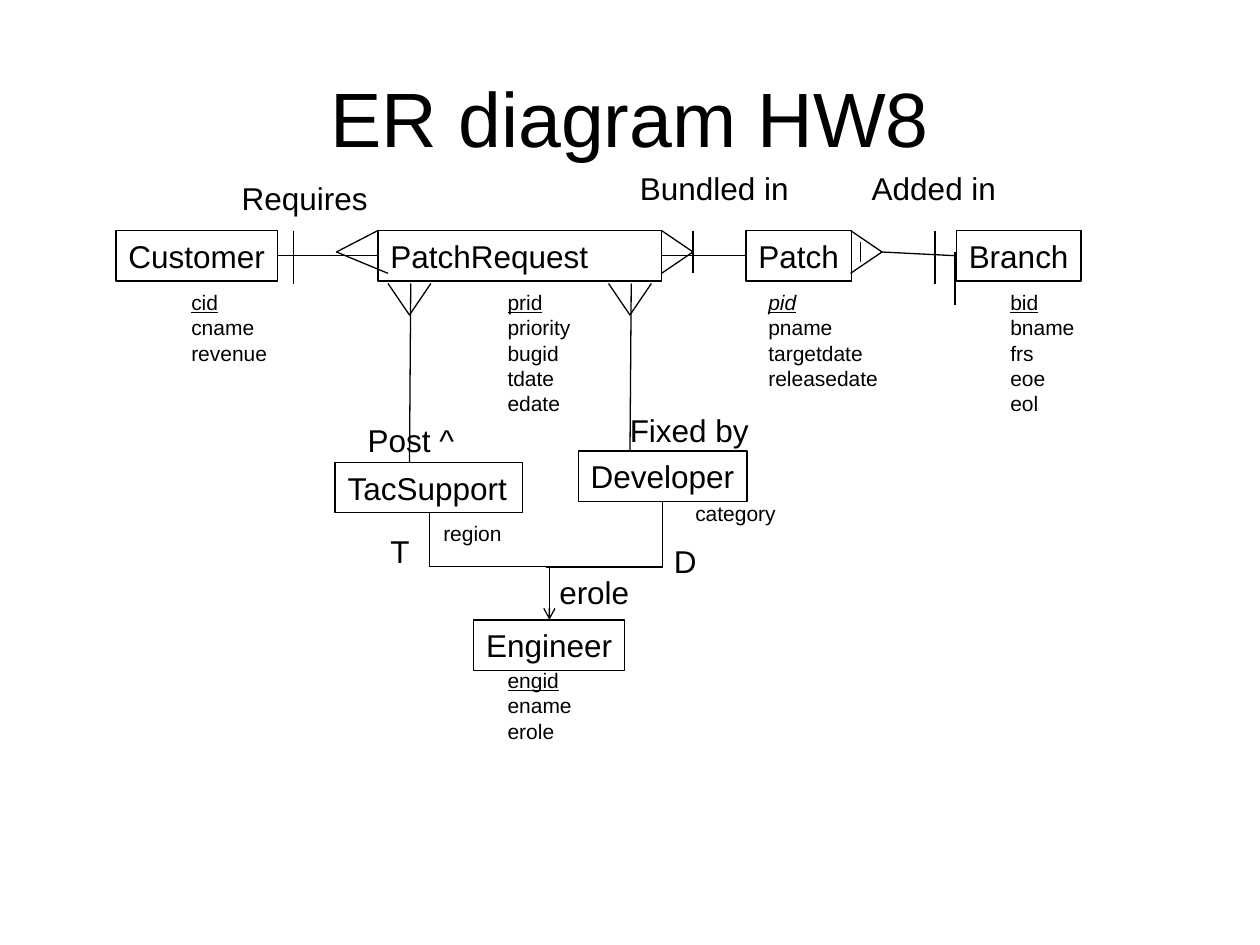
import pptx
import pptx.dml.color
import pptx.enum.shapes
import pptx.enum.text
import pptx.oxml
import pptx.oxml.ns
import pptx.util
from pptx.util import Inches

CONNECTOR = pptx.enum.shapes.MSO_CONNECTOR
TOP, LEFT, BOTTOM, RIGHT = range(4)


def color(value):
    return pptx.dml.color.RGBColor.from_string(value)


class Diagram:
    """The current page and the style of everything drawn on it."""
    font = "Arial"
    ink = "000000"
    line_width = 0.75
    name_size = 18
    attribute_size = 12
    title_size = 44

    def __init__(self, page):
        self.page = page
        self.shapes = page.shapes

    def format_text(self, para, size):
        para.font.name = self.font
        para.font.size = pptx.util.Pt(size)
        para.font.color.rgb = color(self.ink)

    def format_line(self, shape):
        shape.line.color.rgb = color(self.ink)
        shape.line.width = pptx.util.Pt(self.line_width)

    def fill_frame(self, box, lines, size):
        """Write the lines, with a narrow right margin so that none breaks."""
        frame = box.text_frame
        frame.word_wrap = True
        frame.margin_right = Inches(0.04)
        frame.auto_size = pptx.enum.text.MSO_AUTO_SIZE.SHAPE_TO_FIT_TEXT
        frame.vertical_anchor = pptx.enum.text.MSO_ANCHOR.TOP
        frame.text = "\n".join(lines)
        for para in frame.paragraphs:
            para.alignment = pptx.enum.text.PP_ALIGN.LEFT
            self.format_text(para, size)
        return frame

    def title(self, text):
        box = self.shapes.title
        box.left, box.top = Inches(0.5), Inches(0.3)
        box.width, box.height = Inches(9), Inches(1.25)
        box.text_frame.text = text
        box.text_frame.vertical_anchor = pptx.enum.text.MSO_ANCHOR.MIDDLE
        para = box.text_frame.paragraphs[0]
        para.alignment = pptx.enum.text.PP_ALIGN.CENTER
        self.format_text(para, self.title_size)

    def entity(self, name, left, top, width):
        box = self.shapes.add_shape(
            pptx.enum.shapes.MSO_SHAPE.RECTANGLE,
            Inches(left), Inches(top), Inches(width), Inches(0.4))
        box.shadow.inherit = False
        box.fill.background()
        self.format_line(box)
        self.fill_frame(box, [name], self.name_size)
        return box

    def label(self, text, left, top, width, size=name_size):
        box = self.shapes.add_textbox(
            Inches(left), Inches(top), Inches(width), Inches(size / 60 + 0.1))
        self.fill_frame(box, [text], size)

    def attributes(self, names, left, top, width, italic_key=False):
        """List attributes, the first being the underlined key."""
        box = self.shapes.add_textbox(
            Inches(left), Inches(top), Inches(width),
            Inches(0.1 + 0.2 * len(names)))
        frame = self.fill_frame(box, names, self.attribute_size)
        key = frame.paragraphs[0].font
        key.underline = True
        if italic_key:
            key.italic = True

    def crow_foot(self, points):
        (x, y), *others = [(Inches(x), Inches(y)) for x, y in points]
        builder = self.shapes.build_freeform(x, y)
        builder.add_line_segments(others, close=False)
        foot = builder.convert_to_shape()
        foot.shadow.inherit = False
        foot.fill.background()
        self.format_line(foot)

    def connector(self, kind, start, end, begin=None, finish=None):
        """Draw from start to end; begin and finish are (box, side) joints."""
        line = self.shapes.add_connector(
            kind, *(Inches(value) for value in (*start, *end)))
        properties = line._element.spPr
        self.format_line(line)
        properties.append(pptx.oxml.parse_xml(
            "<a:effectLst %s/>" % pptx.oxml.ns.nsdecls("a")))
        if begin:
            line.begin_connect(*begin)
        if finish:
            line.end_connect(*finish)
        return line

    def line(self, start, end, begin=None, finish=None):
        self.connector(CONNECTOR.STRAIGHT, start, end, begin, finish)

    def elbow(self, start, end, begin, finish=None, preset=None, arrow=False):
        """Draw a bent connector that leaves its start downwards."""
        line = self.connector(CONNECTOR.ELBOW, start, end, begin, finish)
        across, down = end[0] - start[0], end[1] - start[1]
        line.left = Inches((start[0] + end[0] - down) / 2)
        line.top = Inches((start[1] + end[1] - abs(across)) / 2)
        line.width, line.height = Inches(down), Inches(abs(across))
        properties = line._element.spPr
        frame = properties.find(pptx.oxml.ns.qn("a:xfrm"))
        degrees = 270 if across > 0 else 90
        frame.set("rot", str(degrees * 60000))
        frame.set("flipH", "1" if across > 0 else "0")
        frame.set("flipV", "0")
        if preset:
            properties.find(pptx.oxml.ns.qn("a:prstGeom")).set("prst", preset)
        if arrow:
            properties.find(pptx.oxml.ns.qn("a:ln")).append(
                pptx.oxml.parse_xml('<a:tailEnd type="arrow" %s/>'
                                    % pptx.oxml.ns.nsdecls("a")))


def main():
    deck = pptx.Presentation()
    deck.slide_width, deck.slide_height = Inches(10), Inches(7.5)
    diagram = Diagram(deck.slides.add_slide(deck.slide_layouts[5]))
    diagram.title("ER diagram HW8")

    row = 1.83
    customer = diagram.entity("Customer", 0.92, row, 1.28)
    request = diagram.entity("PatchRequest", 3, row, 2.25)
    patch = diagram.entity("Patch", 5.92, row, 0.84)
    branch = diagram.entity("Branch", 7.59, row, 0.99)
    engineer = diagram.entity("Engineer", 3.76, 4.92, 1.2)
    developer = diagram.entity("Developer", 4.59, 3.58, 1.34)
    support = diagram.entity("TacSupport", 2.66, 3.67, 1.49)

    diagram.line((2.2, 2.03), (3, 2.03), (customer, RIGHT), (request, LEFT))
    diagram.line((5.25, 2.03), (5.92, 2.03), (request, RIGHT), (patch, LEFT))
    diagram.line((7, 2), (7.59, 2.03), finish=(branch, LEFT))
    diagram.line((3.25, 3.67), (3.26, 2.25))
    diagram.line((5, 3.58), (5.01, 2.25))

    for x in (3.25, 5):
        diagram.crow_foot([(x - 0.17, 2.25), (x, 2.5), (x + 0.17, 2.25)])
    for x in (5.25, 6.75):
        diagram.crow_foot([(x, row), (x + 0.25, 2), (x, 2.17)])
    diagram.crow_foot([(3, row), (2.67, 2), (3.08, 2.17)])

    for x, top, bottom in ((2.33, row, 2.25), (5.5, row, 2.17),
                           (6.83, 1.92, 2.08), (7.42, row, 2.25),
                           (7.58, 2, 2.42)):
        diagram.line((x, top), (x, bottom))

    diagram.elbow((3.41, 4.07), (4.36, 4.92), (support, BOTTOM),
                  (engineer, TOP), arrow=True)
    diagram.elbow((5.26, 3.98), (4.33, 4.5), (developer, BOTTOM),
                  preset="bentConnector2")

    for text, left, top, width in (
            ("Requires", 1.82, 1.37, 1.2), ("Post ^", 2.82, 3.29, 0.88),
            ("Fixed by", 4.9, 3.21, 1.14), ("Bundled in", 4.98, 1.29, 1.38),
            ("Added in", 6.82, 1.29, 1.18), ("erole", 4.34, 4.5, 0.75),
            ("T", 3, 4.17, 0.35), ("D", 5.25, 4.25, 0.38)):
        diagram.label(text, left, top, width)
    diagram.label("category", 5.42, 3.92, 0.84, diagram.attribute_size)
    diagram.label("region", 3.42, 4.08, 0.66, diagram.attribute_size)

    below = 2.25
    diagram.attributes(["cid", "cname", "revenue"], 1.42, below, 0.8)
    diagram.attributes(["prid", "priority", "bugid", "tdate", "edate"],
                       3.93, below, 0.7)
    diagram.attributes(["pid", "pname", "targetdate", "releasedate"],
                       6, below, 1.07, italic_key=True)
    diagram.attributes(["bid", "bname", "frs", "eoe", "eol"],
                       7.92, below, 0.71)
    diagram.attributes(["engid", "ename", "erole"], 3.93, 5.25, 0.71)

    deck.save("out.pptx")


if __name__ == "__main__":
    main()
